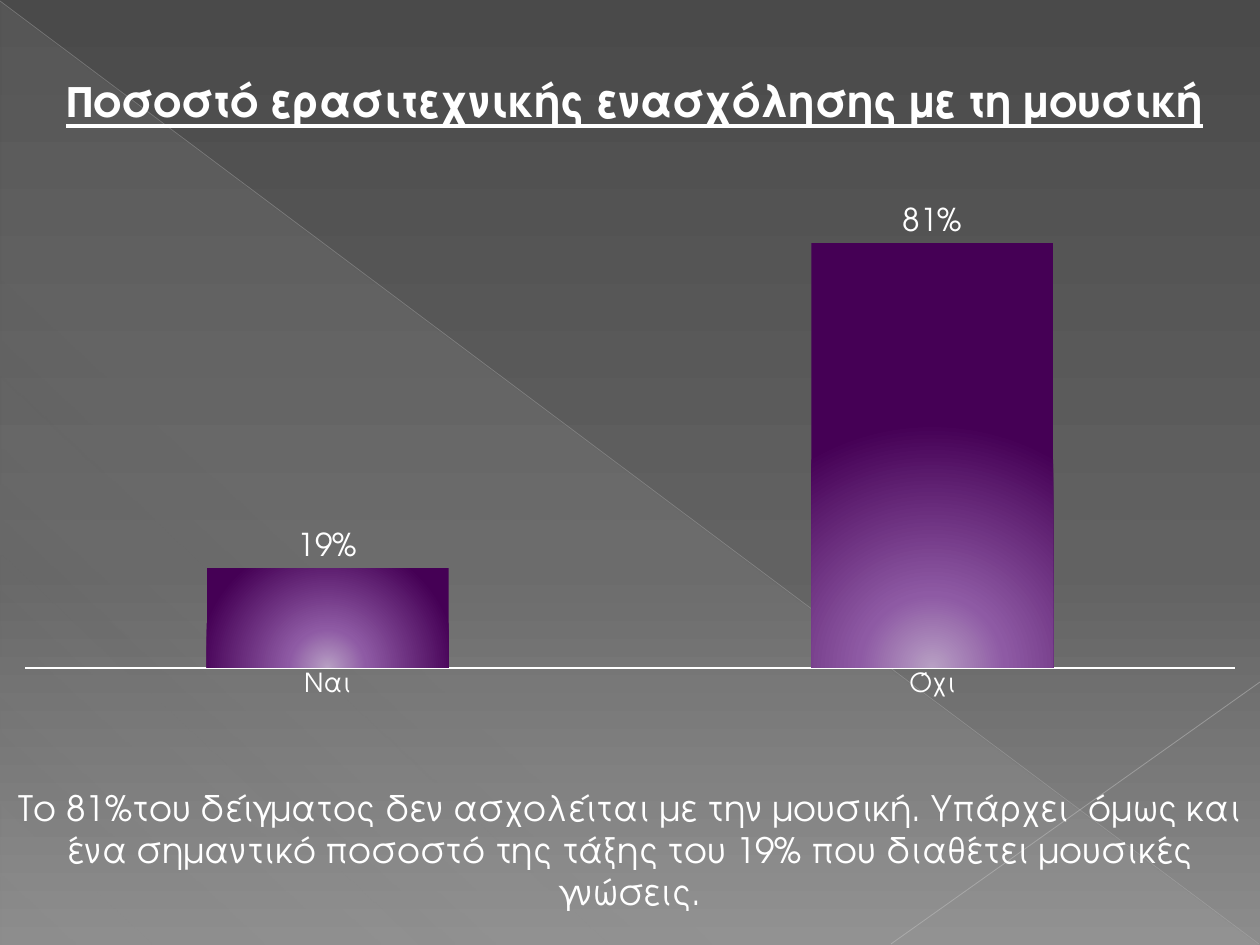
from lxml import etree
from pptx import Presentation
from pptx.chart.data import CategoryChartData
from pptx.dml.color import RGBColor
from pptx.enum.chart import XL_CHART_TYPE, XL_LABEL_POSITION, XL_TICK_MARK
from pptx.enum.shapes import MSO_CONNECTOR, MSO_SHAPE
from pptx.enum.text import MSO_ANCHOR, MSO_AUTO_SIZE, PP_ALIGN
from pptx.oxml import parse_xml
from pptx.oxml.ns import nsdecls, qn
from pptx.util import Emu, Pt

EMU_PER_PX = 914400 / 126
FONT = "TeX Gyre Adventor"
WHITE = RGBColor(0xFF, 0xFF, 0xFF)
TRIANGLE_GRAY = RGBColor(0xD2, 0xD2, 0xD2)
DIAGONAL_GRAY = RGBColor(0xBF, 0xBF, 0xBF)
CORNER_GRAY = RGBColor(0xC6, 0xC6, 0xC6)
# Gradient stops: position in percent, colour, opacity in percent
BACKGROUND_STOPS = [
    (0, RGBColor(0x4A, 0x4A, 0x4A), 100),
    (60, RGBColor(0x62, 0x62, 0x62), 100),
    (100, RGBColor(0x8C, 0x8C, 0x8C), 100),
]
TRIANGLE_STOPS = [(0, TRIANGLE_GRAY, 10), (70, TRIANGLE_GRAY, 8), (100, TRIANGLE_GRAY, 1)]
BAR_STOPS = [
    (0, RGBColor(0xB8, 0xA0, 0xC4), 100),
    (30, RGBColor(0x8E, 0x5A, 0xA4), 100),
    (100, RGBColor(0x45, 0x00, 0x55), 100),
]
RADIAL_FROM_BOTTOM = (
    '<a:path path="circle"><a:fillToRect l="50000" t="100000" r="50000"/></a:path>'
)


def px(value):
    return Emu(round(value * EMU_PER_PX))


def linear(angle):
    return f'<a:lin ang="{angle * 60000}" scaled="0"/>'


def set_gradient(fill, owner, stops, direction):
    """Give fill, which lies inside the XML element owner, a gradient with any number of stops."""
    fill.gradient()
    stop_xml = "".join(
        f'<a:gs pos="{position * 1000}"><a:srgbClr val="{color}">'
        f'<a:alpha val="{opacity * 1000}"/></a:srgbClr></a:gs>'
        for position, color, opacity in stops
    )
    gradient = parse_xml(
        f'<a:gradFill {nsdecls("a")} rotWithShape="1">'
        f"<a:gsLst>{stop_xml}</a:gsLst>{direction}</a:gradFill>"
    )
    default = next(owner.iter(qn("a:gradFill")))
    default.getparent().replace(default, gradient)


def add_triangle(slide):
    triangle = slide.shapes.add_shape(
        MSO_SHAPE.RIGHT_TRIANGLE, px(1), px(2), px(1258), px(943)
    )
    triangle.shadow.inherit = False
    triangle.line.fill.background()
    set_gradient(triangle.fill, triangle.element, TRIANGLE_STOPS, linear(133))


def add_line(slide, start, end, color, width, opacity):
    line = slide.shapes.add_connector(
        MSO_CONNECTOR.STRAIGHT, *(px(value) for value in (*start, *end))
    )
    line.line.color.rgb = color
    line.line.width = Pt(width)
    color_element = next(line.element.spPr.iter(qn("a:srgbClr")))
    etree.SubElement(color_element, qn("a:alpha"), val=str(opacity * 1000))
    etree.SubElement(line.element.spPr, qn("a:effectLst"))


def format_font(font, size):
    font.name = FONT
    font.size = Pt(size)
    font.color.rgb = WHITE


def write_centered(shape, text, size, anchor):
    text_frame = shape.text_frame
    text_frame.text = text
    text_frame.word_wrap = True
    text_frame.auto_size = MSO_AUTO_SIZE.NONE
    text_frame.vertical_anchor = anchor
    paragraph = text_frame.paragraphs[0]
    paragraph.alignment = PP_ALIGN.CENTER
    font = paragraph.runs[0].font
    format_font(font, size)
    return font


def place_title(slide, text):
    title = slide.shapes.title
    title.left, title.top, title.width, title.height = px(44), px(66), px(1181), px(68)
    font = write_centered(title, text, 25, MSO_ANCHOR.MIDDLE)
    font.bold = True
    font.underline = True
    title.element.getparent().append(title.element)


def add_comment(slide, text):
    box = slide.shapes.add_textbox(px(0), px(780), px(1260), px(140))
    write_centered(box, text, 20, MSO_ANCHOR.TOP)


def set_plot_area(chart, left, top, width, height):
    """Fix the inner plot area, in fractions of the chart."""
    plot_area = chart.element.chart.plotArea
    for layout in plot_area.findall(qn("c:layout")):
        plot_area.remove(layout)
    plot_area.insert(0, parse_xml(
        f'<c:layout {nsdecls("c")}><c:manualLayout><c:layoutTarget val="inner"/>'
        '<c:xMode val="edge"/><c:yMode val="edge"/>'
        f'<c:x val="{left}"/><c:y val="{top}"/><c:w val="{width}"/><c:h val="{height}"/>'
        "</c:manualLayout></c:layout>"
    ))


def add_answer_chart(slide):
    data = CategoryChartData(number_format="0%")
    data.categories = ["Ναι", "Όχι"]
    data.add_series("Series 1", [0.19, 0.81])
    chart = slide.shapes.add_chart(
        XL_CHART_TYPE.COLUMN_CLUSTERED, px(0), px(185), px(1260), px(525), data
    ).chart
    chart.has_legend = False
    chart.has_title = False
    format_font(chart.font, 10)
    set_plot_area(chart, 0.02, 0.02, 0.96, 0.9)

    value_axis = chart.value_axis
    value_axis.minimum_scale = 0
    value_axis.maximum_scale = 0.9
    value_axis.has_major_gridlines = False
    value_axis.tick_labels.number_format = "0%"
    value_axis.tick_labels.number_format_is_linked = False
    value_axis.visible = False

    category_axis = chart.category_axis
    category_axis.major_tick_mark = XL_TICK_MARK.NONE
    category_axis.format.line.color.rgb = WHITE
    category_axis.format.line.width = Pt(1)
    format_font(category_axis.tick_labels.font, 15)

    plot = chart.plots[0]
    plot.vary_by_categories = False
    plot.gap_width = 150
    plot.overlap = -25
    plot.has_data_labels = True
    labels = plot.data_labels
    labels.show_value = True
    labels.number_format = "0%"
    labels.number_format_is_linked = False
    labels.position = XL_LABEL_POSITION.OUTSIDE_END
    format_font(labels.font, 18)

    series = plot.series[0]
    series.invert_if_negative = False
    set_gradient(series.format.fill, series._element, BAR_STOPS, RADIAL_FROM_BOTTOM)


def main():
    presentation = Presentation()
    presentation.slide_width = px(1260)
    presentation.slide_height = px(945)
    slide = presentation.slides.add_slide(presentation.slide_layouts[5])
    set_gradient(slide.background.fill, slide.element, BACKGROUND_STOPS, linear(90))
    add_triangle(slide)
    add_line(slide, (0, 1), (1259, 944), DIAGONAL_GRAY, 0.39, 35)
    add_line(slide, (1260, 682), (891, 944), CORNER_GRAY, 0.47, 45)
    add_answer_chart(slide)
    place_title(slide, "Ποσοστό ερασιτεχνικής ενασχόλησης με τη μουσική")
    add_comment(
        slide,
        "Το 81%του δείγματος δεν ασχολείται με την μουσική. Υπάρχει  όμως και ένα "
        "σημαντικό ποσοστό της τάξης του 19% που διαθέτει μουσικές γνώσεις.",
    )
    presentation.save("out.pptx")


if __name__ == "__main__":
    main()
